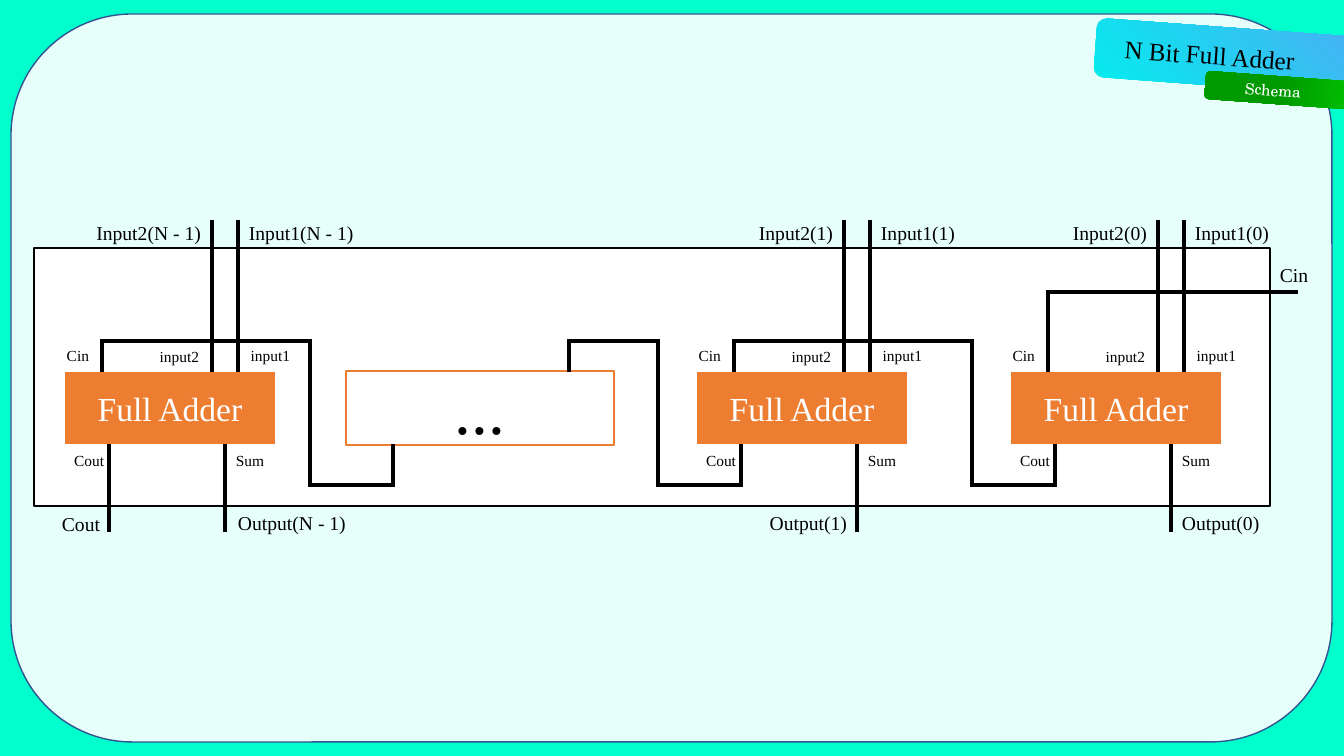
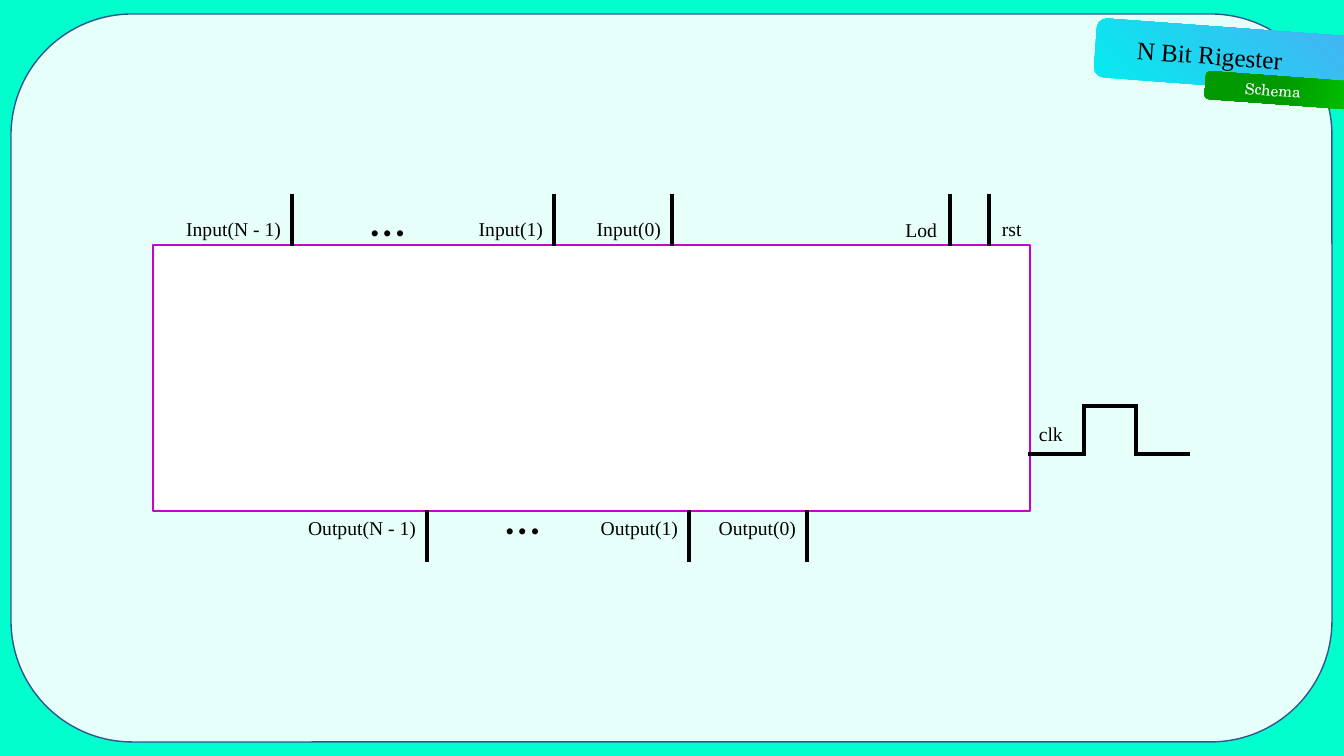
from dataclasses import dataclass
from itertools import pairwise

from lxml import etree
from pptx import Presentation
from pptx.dml.color import RGBColor
from pptx.enum.shapes import MSO_CONNECTOR, MSO_SHAPE
from pptx.enum.text import MSO_ANCHOR, PP_ALIGN
from pptx.oxml import parse_xml
from pptx.oxml.ns import nsdecls, qn
from pptx.shapes.autoshape import Shape
from pptx.slide import Slide
from pptx.text.text import TextFrame
from pptx.util import Emu, Pt

RECTANGLE = MSO_SHAPE.RECTANGLE
ROUNDED = MSO_SHAPE.ROUNDED_RECTANGLE
RIBBON = MSO_SHAPE.FLOWCHART_ALTERNATE_PROCESS
STRAIGHT = MSO_CONNECTOR.STRAIGHT
LEFT, CENTER, RIGHT = PP_ALIGN.LEFT, PP_ALIGN.CENTER, PP_ALIGN.RIGHT
TOP, MIDDLE = MSO_ANCHOR.TOP, MSO_ANCHOR.MIDDLE

EMU_PER_PIXEL = 914400 / 100.8
SERIF = "Times New Roman"
COLORS = {
    "background": "00FFCC",
    "panel": "E7FFFA",
    "panel_line": "325491",
    "adder": "ED7D31",
    "register_line": "CC00CC",
    "white": "FFFFFF",
    "black": "000000",
}
BLUE_STOPS = [(0, "6595F5"), (13, "43B4F3"), (100, "02EEEE")]
GREEN_STOPS = [(0, "00CC00"), (55, "009900")]
CORNER_PATH = ('<a:path path="circle">'
               '<a:fillToRect l="100000" b="100000"/></a:path>')
DOWNWARD = '<a:lin ang="5400000" scaled="1"/>'


@dataclass(frozen=True)
class Box:
    """A place on the slide, in pixels."""
    left: int
    top: int
    width: int
    height: int


@dataclass(frozen=True)
class Label:
    """A text box and its format."""
    text: str
    box: Box
    align: PP_ALIGN = LEFT
    size: int = 14
    font: str = SERIF
    color: str = "black"
    anchor: MSO_ANCHOR = TOP
    rotation: float = 0


@dataclass(frozen=True)
class Adder:
    """One full adder of the chain; pin positions follow from its left edge."""
    left: int
    bit: str
    output: Label

    @property
    def carry_in(self) -> int:
        return self.left + 38

    @property
    def carry_out(self) -> int:
        return self.left + 45


ADDER_TOP, ADDER_HEIGHT = 371, 74
PIN_TOP, PIN_BOTTOM = 372, 444
CARRY_HIGH, CARRY_LOW, CARRY_RUN = 341, 485, 83
ADDERS = [
    Adder(64, "N - 1", Label("Output(N - 1)", Box(228, 506, 148, 34))),
    Adder(696, "1", Label("Output(1)", Box(748, 506, 109, 34), RIGHT)),
    Adder(1010, "0", Label("Output(0)", Box(1172, 506, 109, 34))),
]
REGISTER_BITS = {"N - 1": 292, "1": 554, "0": 672}
OUTPUT_SHIFT = 135


def pixels(value: float) -> Emu:
    """Turn pixels into EMU."""
    return Emu(round(value * EMU_PER_PIXEL))


def rgb(name: str) -> RGBColor:
    """Look up a named colour."""
    return RGBColor.from_string(COLORS[name])


def place(box: Box) -> tuple[Emu, Emu, Emu, Emu]:
    """Give the EMU position and size of a box."""
    return (pixels(box.left), pixels(box.top),
            pixels(box.width), pixels(box.height))


def write_text(text_frame: TextFrame, label: Label) -> None:
    """Set and format the one paragraph of a text frame."""
    text_frame.text = label.text
    text_frame.word_wrap = True
    text_frame.vertical_anchor = label.anchor
    paragraph = text_frame.paragraphs[0]
    paragraph.alignment = label.align
    font = paragraph.runs[0].font
    font.name, font.size = label.font, Pt(label.size)
    font.color.rgb = rgb(label.color)


def add_label(slide: Slide, label: Label) -> None:
    """Draw a text box."""
    shape = slide.shapes.add_textbox(*place(label.box))
    shape.rotation = label.rotation
    write_text(shape.text_frame, label)


def add_block(slide: Slide, box: Box, fill: str, line: str, width: float,
              kind: MSO_SHAPE = RECTANGLE) -> Shape:
    """Draw a filled and outlined shape."""
    shape = slide.shapes.add_shape(kind, *place(box))
    shape.shadow.inherit = False
    shape.fill.solid()
    shape.fill.fore_color.rgb = rgb(fill)
    shape.line.color.rgb = rgb(line)
    shape.line.width = Pt(width)
    return shape


def add_ribbon(slide: Slide, box: Box, stops: list[tuple[int, str]],
               direction: str) -> None:
    """Draw a tilted ribbon with a gradient fill."""
    shape = slide.shapes.add_shape(RIBBON, *place(box))
    shape.shadow.inherit = False
    shape.rotation = 94.2
    shape.line.fill.background()
    shape.fill.background()
    stop_xml = "".join(
        f'<a:gs pos="{position * 1000}"><a:srgbClr val="{color}"/></a:gs>'
        for position, color in stops)
    gradient = parse_xml(
        f'<a:gradFill {nsdecls("a")} rotWithShape="1">'
        f'<a:gsLst>{stop_xml}</a:gsLst>{direction}</a:gradFill>')
    properties = shape.element.spPr
    properties.replace(properties.find(qn("a:noFill")), gradient)


def add_wire(slide: Slide, *points: tuple[int, int]) -> None:
    """Draw a wire through the points; level parts reach over the corners."""
    for start, end in pairwise(points):
        (x1, y1), (x2, y2) = sorted((start, end))
        reach = 2 if y1 == y2 else 0
        connector = slide.shapes.add_connector(
            STRAIGHT, pixels(x1 - reach), pixels(y1),
            pixels(x2 + reach), pixels(y2))
        connector.line.color.rgb = rgb("black")
        connector.line.width = Pt(3)
        etree.SubElement(connector.element.spPr, qn("a:effectLst"))


def add_base(presentation: Presentation, title: str) -> Slide:
    """Add a slide with the panel, the ribbons and the title."""
    slide = presentation.slides.add_slide(presentation.slide_layouts[5])
    add_block(slide, Box(11, 14, 1321, 728), "panel", "panel_line", 1, ROUNDED)
    add_ribbon(slide, Box(1205, -82, 59, 279), BLUE_STOPS, CORNER_PATH)
    add_ribbon(slide, Box(1275, 7, 28, 168), GREEN_STOPS, DOWNWARD)
    add_label(slide, Label("Schema", Box(1213, 76, 120, 29), CENTER, 11,
                           "TeX Gyre Schola", "white", rotation=4.4))
    heading = Label(title, Box(1098, 27, 223, 59), CENTER, 18, anchor=MIDDLE)
    shape = slide.shapes.title
    shape.left, shape.top, shape.width, shape.height = place(heading.box)
    shape.rotation = 4
    write_text(shape.text_frame, heading)
    shape.text_frame.paragraphs[0].line_spacing = 0.9
    shape.element.getparent().append(shape.element)
    return slide


def add_adder(slide: Slide, adder: Adder) -> None:
    """Draw one adder with its pins, labels and vertical wires."""
    left = adder.left
    box = Box(left, ADDER_TOP, 212, ADDER_HEIGHT)
    block = add_block(slide, box, "adder", "white", 1.5)
    write_text(block.text_frame, Label("Full Adder", box, CENTER, 24,
                                       color="white", anchor=MIDDLE))
    for x in (left + 148, left + 174):
        add_wire(slide, (x, 220), (x, PIN_TOP))
    add_wire(slide, (left + 161, PIN_BOTTOM), (left + 161, 532))
    for text, offset, top, width, align in (
            ("input1", 176, 341, 60, RIGHT),
            ("input2", 85, 342, 60, RIGHT),
            ("Cin", -10, 341, 45, RIGHT),
            ("Cout", -5, 446, 55, RIGHT),
            ("Sum", 162, 446, 52, LEFT)):
        add_label(slide, Label(text, Box(left + offset, top, width, 29),
                               align, 11))
    add_label(slide, Label(f"Input1({adder.bit})",
                           Box(left + 175, 216, 149, 34)))
    add_label(slide, Label(f"Input2({adder.bit})",
                           Box(left - 3, 216, 150, 34), RIGHT))
    add_label(slide, adder.output)


def add_carry(slide: Slide, source: int, target: int) -> None:
    """Draw the carry wire from one block to the next one on its left."""
    riser = source - CARRY_RUN
    add_wire(slide, (source, PIN_BOTTOM), (source, CARRY_LOW),
             (riser, CARRY_LOW), (riser, CARRY_HIGH),
             (target, CARRY_HIGH), (target, PIN_TOP))


def build_adder_slide(presentation: Presentation) -> None:
    """Build the chain of full adders."""
    slide = add_base(presentation, "N Bit Full Adder")
    add_block(slide, Box(34, 248, 1236, 258), "white", "black", 1)
    middle = Box(346, ADDER_TOP, 268, ADDER_HEIGHT)
    block = add_block(slide, middle, "white", "adder", 1)
    write_text(block.text_frame,
               Label("...", middle, CENTER, 48, anchor=MIDDLE))
    for adder in ADDERS:
        add_adder(slide, adder)
    last, second, first = ADDERS
    add_carry(slide, first.carry_out, second.carry_in)
    add_carry(slide, second.carry_out, 569)
    add_carry(slide, 393, last.carry_in)
    add_wire(slide, (last.carry_out, PIN_BOTTOM), (last.carry_out, 532))
    add_wire(slide, (1296, 292), (first.carry_in, 292),
             (first.carry_in, PIN_TOP))
    add_label(slide, Label("Cin", Box(1270, 258, 65, 34)))
    add_label(slide, Label("Cout", Box(9, 507, 101, 34), RIGHT))


def add_register_side(slide: Slide, name: str, shift: int, wire_top: int,
                      label_top: int, dots_top: int) -> None:
    """Draw the row of bit wires on one side of the register."""
    for bit, position in REGISTER_BITS.items():
        x = position + shift
        add_wire(slide, (x, wire_top), (x, wire_top + 52))
        add_label(slide, Label(f"{name}({bit})",
                               Box(x - 135, label_top, 134, 34), RIGHT))
    add_label(slide, Label("…", Box(326 + shift, dots_top, 123, 33), CENTER,
                           36, "Calibri", anchor=MIDDLE))


def build_register_slide(presentation: Presentation) -> None:
    """Build the register with its inputs, outputs and clock."""
    slide = add_base(presentation, "N Bit Rigester")
    add_block(slide, Box(153, 245, 877, 266), "white", "register_line", 1.5)
    add_register_side(slide, "Input", 0, 194, 212, 200)
    add_register_side(slide, "Output", OUTPUT_SHIFT, 510, 511, 498)
    for x in (950, 989):
        add_wire(slide, (x, 194), (x, 246))
    add_label(slide, Label("Lod", Box(893, 213, 54, 34), RIGHT))
    add_label(slide, Label("rst", Box(992, 212, 53, 34)))
    add_wire(slide, (1030, 454), (1084, 454), (1084, 406),
             (1136, 406), (1136, 454), (1188, 454))
    add_label(slide, Label("clk", Box(1029, 417, 53, 34)))


def main() -> None:
    """Build and save the presentation."""
    presentation = Presentation()
    presentation.slide_width = pixels(1344)
    presentation.slide_height = pixels(756)
    background = presentation.slide_master.background.fill
    background.solid()
    background.fore_color.rgb = rgb("background")
    build_adder_slide(presentation)
    build_register_slide(presentation)
    presentation.save("out.pptx")


main()
